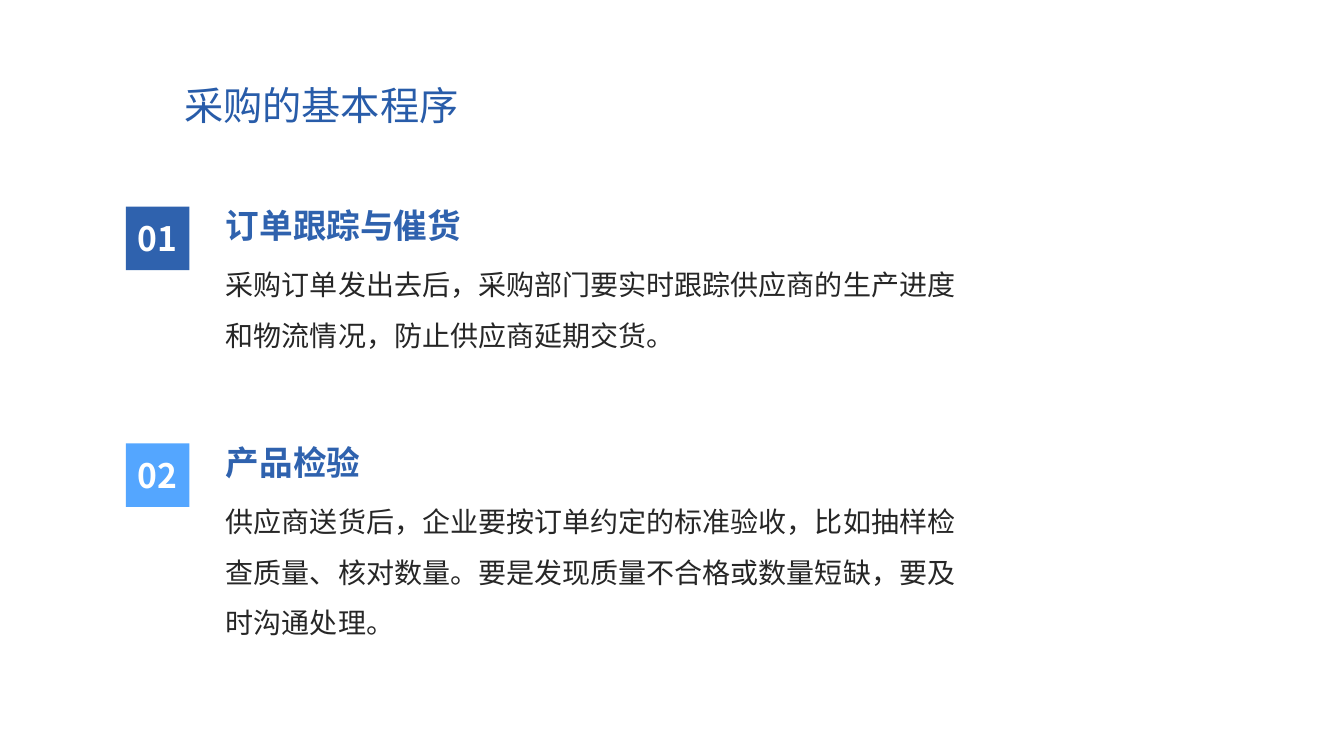
"""Build the slide on the basic steps of purchasing."""
from dataclasses import dataclass

import lxml.etree
import pptx
import pptx.dml.color
import pptx.enum.shapes
import pptx.enum.text
import pptx.oxml.ns
import pptx.shapes.autoshape
import pptx.slide
import pptx.util

EMU_PER_PX = 9144
BLUE = "2F62AE"
BODY_FONT = "Noto Sans CJK JP"
MIDDLE = pptx.enum.text.MSO_ANCHOR.MIDDLE
TOP = pptx.enum.text.MSO_ANCHOR.TOP


@dataclass(frozen=True)
class Style:
    """Look of a one-paragraph text."""
    size: int
    color: str
    font: str = BODY_FONT
    bold: bool = False
    anchor: pptx.enum.text.MSO_ANCHOR = MIDDLE
    centered: bool = False
    line_spacing: float = 1.0
    inset_x: int = 0
    inset_y: int = 0


@dataclass(frozen=True)
class Step:
    """A numbered purchasing step."""
    number: str
    heading: str
    detail: str
    badge_color: str


TITLE = Style(28, "285CA9", font="Noto Sans CJK SC", inset_x=10, inset_y=5)
HEADING = Style(24, BLUE, bold=True)
DETAIL = Style(20, "262626", anchor=TOP, line_spacing=1.5)
BADGE = Style(24, "FFFFFF", bold=True, centered=True)

STEPS = [
    Step("01", "订单跟踪与催货",
         "采购订单发出去后，采购部门要实时跟踪供应商的生产进度和物流情况，防止供应商延期交货。",
         BLUE),
    Step("02", "产品检验",
         "供应商送货后，企业要按订单约定的标准验收，比如抽样检查质量、核对数量。"
         "要是发现质量不合格或数量短缺，要及时沟通处理。",
         "54A6FF"),
]
FIRST_STEP_TOP = 198
STEP_PITCH = 235


def px(length: int) -> pptx.util.Emu:
    """Turn px into EMU."""
    return pptx.util.Emu(length * EMU_PER_PX)


def rgb(color: str) -> pptx.dml.color.RGBColor:
    """Turn a hex string into a colour."""
    return pptx.dml.color.RGBColor.from_string(color)


def write(shape: pptx.shapes.autoshape.Shape, text: str, style: Style) -> None:
    """Fill a shape with one styled paragraph."""
    frame = shape.text_frame
    frame.word_wrap = True
    frame.vertical_anchor = style.anchor
    frame.margin_left = frame.margin_right = px(style.inset_x)
    frame.margin_top = frame.margin_bottom = px(style.inset_y)
    para = frame.paragraphs[0]
    para.text = text
    para.line_spacing = style.line_spacing
    align = pptx.enum.text.PP_ALIGN
    para.alignment = align.CENTER if style.centered else align.LEFT
    font = para.font
    font.size = pptx.util.Pt(style.size)
    font.bold = style.bold
    font.color.rgb = rgb(style.color)
    font.name = style.font
    latin = para._p.find(".//" + pptx.oxml.ns.qn("a:latin"))
    east_asian = lxml.etree.Element(pptx.oxml.ns.qn("a:ea"), typeface=style.font)
    latin.addnext(east_asian)


def add_text(page: pptx.slide.Slide, left: int, top: int, width: int,
             height: int, text: str, style: Style) -> None:
    """Add a text box."""
    box = page.shapes.add_textbox(px(left), px(top), px(width), px(height))
    write(box, text, style)


def add_badge(page: pptx.slide.Slide, left: int, top: int, size: int,
              step: Step) -> None:
    """Add the numbered square of a step."""
    badge = page.shapes.add_shape(pptx.enum.shapes.MSO_SHAPE.RECTANGLE,
                                  px(left), px(top), px(size), px(size))
    badge.shadow.inherit = False
    badge.fill.solid()
    badge.fill.fore_color.rgb = rgb(step.badge_color)
    badge.line.fill.background()
    write(badge, step.number, BADGE)


def add_step(page: pptx.slide.Slide, top: int, step: Step) -> None:
    """Add a step with its detail, heading and badge."""
    add_text(page, 224, top + 51, 749, 196, step.detail, DETAIL)
    add_text(page, 224, top, 749, 50, step.heading, HEADING)
    add_badge(page, 125, top + 7, 63, step)


def main() -> None:
    """Build and save the deck."""
    deck = pptx.Presentation()
    deck.slide_width, deck.slide_height = px(1333), px(750)
    page = deck.slides.add_slide(deck.slide_layouts[6])
    add_text(page, 173, 72, 468, 64, "采购的基本程序", TITLE)
    for index, step in enumerate(STEPS):
        add_step(page, FIRST_STEP_TOP + index * STEP_PITCH, step)
    deck.save("out.pptx")


if __name__ == "__main__":
    main()
